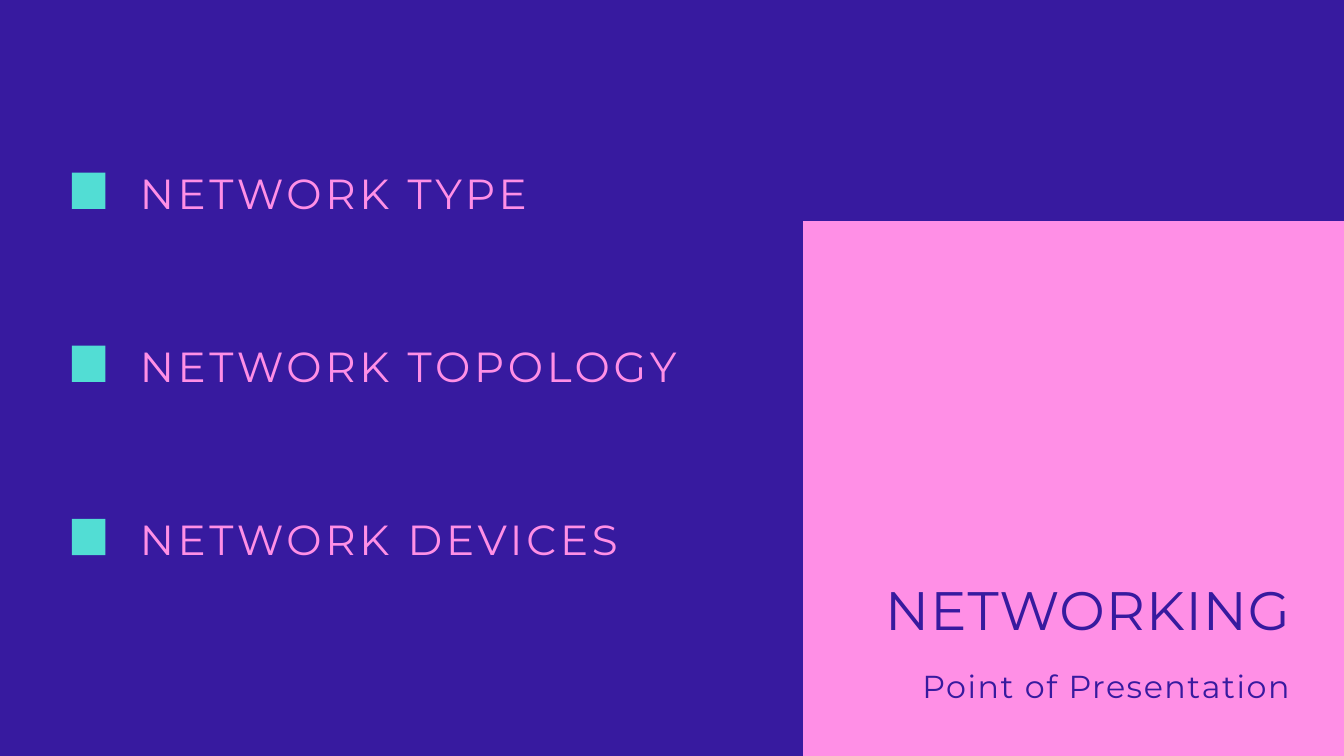
from dataclasses import dataclass

from lxml.etree import SubElement
from pptx import Presentation
from pptx.dml.color import RGBColor
from pptx.enum.shapes import MSO_SHAPE as Form
from pptx.enum.text import MSO_ANCHOR as Anchor, MSO_AUTO_SIZE as Fit, PP_ALIGN as Align
from pptx.oxml.ns import qn
from pptx.shapes.base import BaseShape
from pptx.slide import Slide
from pptx.util import Inches, Pt

NAVY, PINK, TEAL = "371A9F", "FF8FE6", "52DDD4"
FONT = "Montserrat"
TOP, STEP = 2.57, 2.575


@dataclass
class Style:
    size: float
    line: float
    gap: float
    color: str
    align: Align


@dataclass
class Label:
    slot: int
    text: str
    box: tuple[float, float, float, float]
    style: Style


ITEM = Style(45, 63, 4, PINK, Align.LEFT)
TITLE = Style(58, 58, 1.2, NAVY, Align.RIGHT)
SUB = Style(34, 38.4, 1.7, NAVY, Align.RIGHT)

TOPICS = [("NETWORK TYPE", 7.74), ("NETWORK TOPOLOGY", 8.84), ("NETWORK DEVICES", 7.74)]


def rgb(code: str) -> RGBColor:
    return RGBColor.from_string(code)


def add_block(slide: Slide, box: tuple[float, float, float, float], color: str) -> BaseShape:
    block = slide.shapes.add_shape(Form.RECTANGLE, *map(Inches, box))
    block.shadow.inherit = False
    block.fill.solid()
    block.fill.fore_color.rgb = rgb(color)
    block.line.fill.background()
    return block


def fill_label(slide: Slide, label: Label) -> None:
    """Move, format and fill the placeholder that the label names."""
    style = label.style
    holder = slide.placeholders[label.slot]
    holder.left, holder.top, holder.width, holder.height = map(Inches, label.box)

    frame = holder.text_frame
    frame.margin_left = frame.margin_right = frame.margin_top = frame.margin_bottom = 0
    frame.vertical_anchor = Anchor.TOP
    frame.word_wrap = True
    frame.auto_size = Fit.NONE

    para = frame.paragraphs[0]
    props = para._p.get_or_add_pPr()
    props.set("marL", "0")
    props.set("indent", "0")
    SubElement(props, qn("a:buNone"))
    para.alignment = style.align
    para.line_spacing = Pt(style.line)
    para.space_before = Pt(0)

    run = para.add_run()
    run.text = label.text
    font = run.font
    font.name, font.size, font.bold = FONT, Pt(style.size), False
    font.color.rgb = rgb(style.color)
    run._r.get_or_add_rPr().set("spc", str(round(style.gap * 100)))


def main() -> None:
    deck = Presentation()
    deck.slide_width, deck.slide_height = Inches(20), Inches(11.25)
    # The comparison layout holds a title and four text slots
    slide = deck.slides.add_slide(deck.slide_layouts.get_by_name("Comparison"))
    slide.background.fill.solid()
    slide.background.fill.fore_color.rgb = rgb(NAVY)

    panel = add_block(slide, (11.95, 3.29, 8.38, 8.33), PINK)
    slide.shapes._spTree.insert(2, panel._element)  # behind the text

    for row, (text, width) in enumerate(TOPICS):
        top = TOP + row * STEP
        add_block(slide, (1.07, top, 0.5, 0.54), TEAL)
        fill_label(slide, Label(row + 1, text, (2.08, top - 0.2, width, 0.84), ITEM))

    fill_label(slide, Label(0, "NETWORKING", (13.08, 8.74, 6.12, 0.88), TITLE))
    fill_label(slide, Label(4, "Point of Presentation", (13.08, 9.96, 6.12, 0.55), SUB))

    # Drop the empty date, footer and number slots, if any
    for holder in list(slide.placeholders):
        if not holder.text_frame.text:
            holder._element.getparent().remove(holder._element)

    deck.save("out.pptx")


if __name__ == "__main__":
    main()
